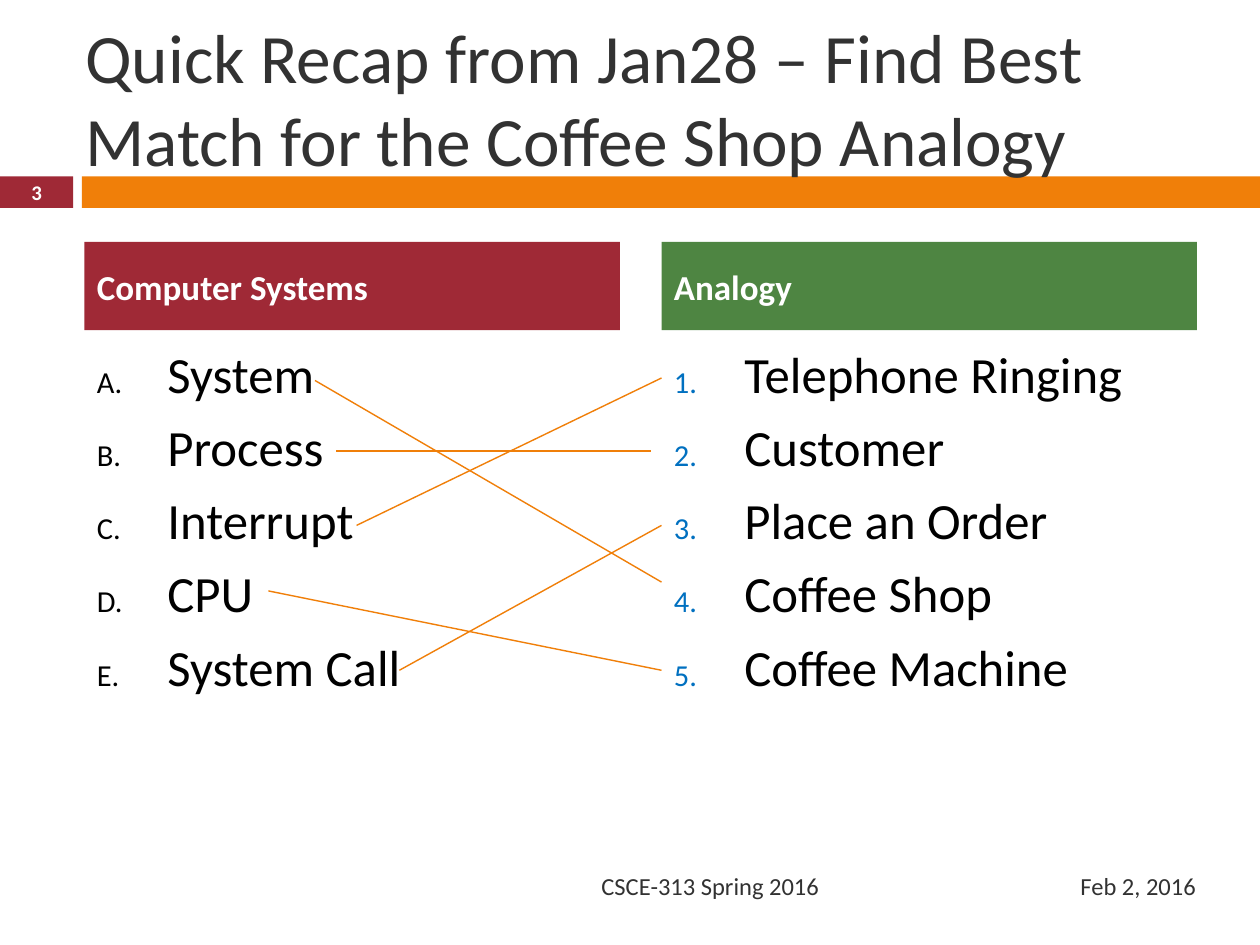
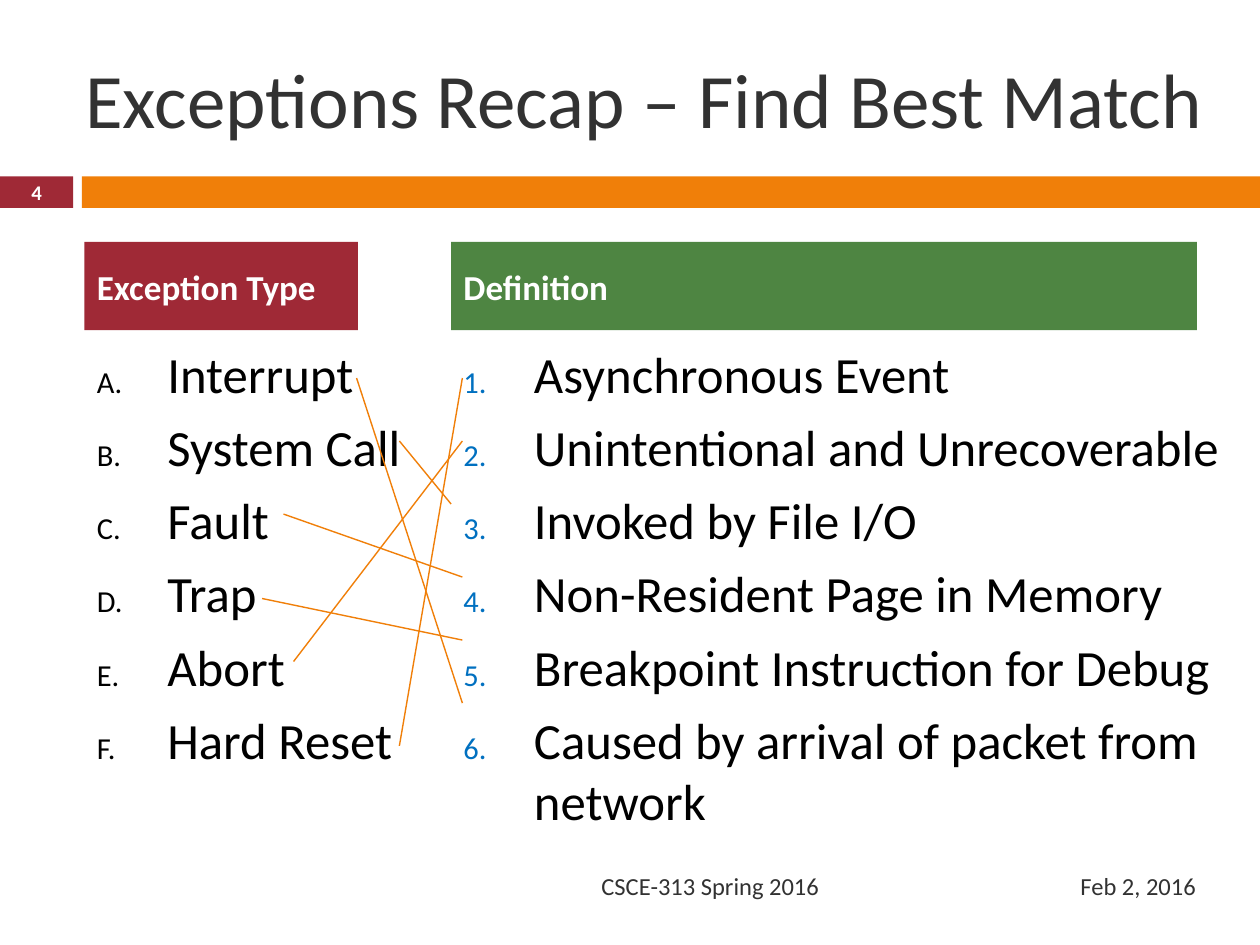
import pptx
import pptx.util
import pptx.dml.color
import pptx.enum.shapes
import pptx.enum.text
import pptx.oxml.ns
import lxml.etree

Inches = pptx.util.Inches
Pt = pptx.util.Pt
Align = pptx.enum.text.PP_ALIGN
Anchor = pptx.enum.text.MSO_ANCHOR
HUES = {"red": "9F2936", "orange": "F07F09", "green": "4E8542", "blue": "0070C0",
        "ink": "323232", "black": "000000", "white": "FFFFFF"}
FONT = "Calibri"
LEFT, HEAD, BODY, FOOT = 0.67, 1.92, 2.67, 6.83


def color(name):
    return pptx.dml.color.RGBColor.from_string(HUES[name])


def write(shape, lines, size=14, hue="ink", bold=False, align=Align.LEFT,
          anchor=Anchor.MIDDLE, before=0):
    frame = shape.text_frame
    frame.word_wrap = True
    frame.vertical_anchor = anchor
    for i, line in enumerate(lines):
        para = frame.paragraphs[0] if i == 0 else frame.add_paragraph()
        para.alignment = align
        para.space_before = Pt(before)
        run = para.add_run()
        run.text = line
        run.font.name = FONT
        run.font.size = Pt(size)
        run.font.bold = bold
        run.font.color.rgb = color(hue)
    return frame


class Deck:
    """Holds the shared style and the slide being built."""

    def __init__(self):
        self.file = pptx.Presentation()
        self.file.slide_width = Inches(10)
        self.file.slide_height = Inches(7.5)
        self.slide = None

    def start(self, title, size, number):
        self.slide = self.file.slides.add_slide(self.file.slide_layouts[6])
        self.band(0, 1.4, 0.58, 0.25, "red")
        self.band(0.65, 1.4, 9.35, 0.25, "orange")
        self.text(0.58, 0.3, 9.17, 0.95, [title], size=size)
        self.text(0, 1.39, 0.58, 0.27, [str(number)], size=11.9, hue="white",
                  bold=True, align=Align.CENTER)
        self.text(LEFT, FOOT, 5.93, 0.4, ["CSCE-313 Spring 2016"], align=Align.RIGHT)
        self.text(6.67, FOOT, 2.92, 0.4, ["Feb 2, 2016"], align=Align.RIGHT)

    def band(self, x, y, w, h, hue):
        kind = pptx.enum.shapes.MSO_SHAPE.RECTANGLE
        box = self.slide.shapes.add_shape(kind, Inches(x), Inches(y), Inches(w), Inches(h))
        box.shadow.inherit = False
        box.fill.solid()
        box.fill.fore_color.rgb = color(hue)
        box.line.fill.background()
        return box

    def text(self, x, y, w, h, lines, **style):
        box = self.slide.shapes.add_textbox(Inches(x), Inches(y), Inches(w), Inches(h))
        return write(box, lines, **style)

    def list(self, x, w, items, scheme, hue):
        frame = self.text(x, BODY, w, 3.92, items, size=29, hue="black",
                          anchor=Anchor.TOP, before=7)
        name = pptx.oxml.ns.qn
        for para in frame.paragraphs:
            props = para._p.get_or_add_pPr()
            props.set("marL", str(Inches(0.56)))
            props.set("indent", str(Inches(-0.56)))
            tint = lxml.etree.SubElement(props, name("a:buClr"))
            lxml.etree.SubElement(tint, name("a:srgbClr"), val=HUES[hue])
            lxml.etree.SubElement(props, name("a:buSzPct"), val="60000")
            lxml.etree.SubElement(props, name("a:buFont"), typeface=FONT)
            lxml.etree.SubElement(props, name("a:buAutoNum"), type=scheme)

    def column(self, x, wide, label, hue, items, room, scheme, mark):
        box = self.band(x, HEAD, wide, 0.7, hue)
        write(box, [label], size=20, hue="white", bold=True, before=7)
        self.list(x, room, items, scheme, mark)

    def terms(self, label, wide, room, items):
        self.column(LEFT, wide, label, "red", items, room, "alphaUcPeriod", "black")

    def answers(self, label, x, room, items):
        self.column(x, 9.5 - x, label, "green", items, room, "arabicPeriod", "blue")

    def match(self, pairs):
        kind = pptx.enum.shapes.MSO_CONNECTOR.STRAIGHT
        for ends in pairs:
            link = self.slide.shapes.add_connector(kind, *map(Inches, ends))
            link.line.color.rgb = color("orange")
            link.line.width = Pt(0.79)
            lxml.etree.SubElement(link._element.spPr, pptx.oxml.ns.qn("a:effectLst"))


deck = Deck()

deck.start("Quick Recap from Jan28 – Find Best Match for the Coffee Shop Analogy", 39.6, 3)
deck.terms("Computer Systems", 4.25, 4.25,
           ["System", "Process", "Interrupt", "CPU", "System Call"])
deck.answers("Analogy", 5.25, 4.25,
             ["Telephone Ringing", "Customer", "Place an Order", "Coffee Shop",
              "Coffee Machine"])
deck.match([(2.5, 3.02, 5.25, 4.62), (2.67, 3.58, 5.17, 3.58), (2.83, 4.17, 5.25, 3),
            (2.13, 4.69, 5.25, 5.32), (3.17, 5.32, 5.25, 4.17)])

deck.start("Exceptions Recap – Find Best Match", 44, 4)
deck.terms("Exception Type", 2.17, 2.83,
           ["Interrupt", "System Call", "Fault", "Trap", "Abort", "Hard Reset"])
deck.answers("Definition", 3.58, 6.33,
             ["Asynchronous Event", "Unintentional and Unrecoverable",
              "Invoked by File I/O", "Non-Resident Page in Memory",
              "Breakpoint Instruction for Debug",
              "Caused by arrival of packet from network"])
deck.match([(2.83, 3, 3.67, 5.58), (3.17, 3.5, 3.58, 4), (2.25, 4.08, 3.67, 4.58),
            (2.08, 4.75, 3.67, 5.08), (2.33, 5.25, 3.67, 3.5), (3.17, 5.92, 3.67, 3)])

deck.file.save("out.pptx")
